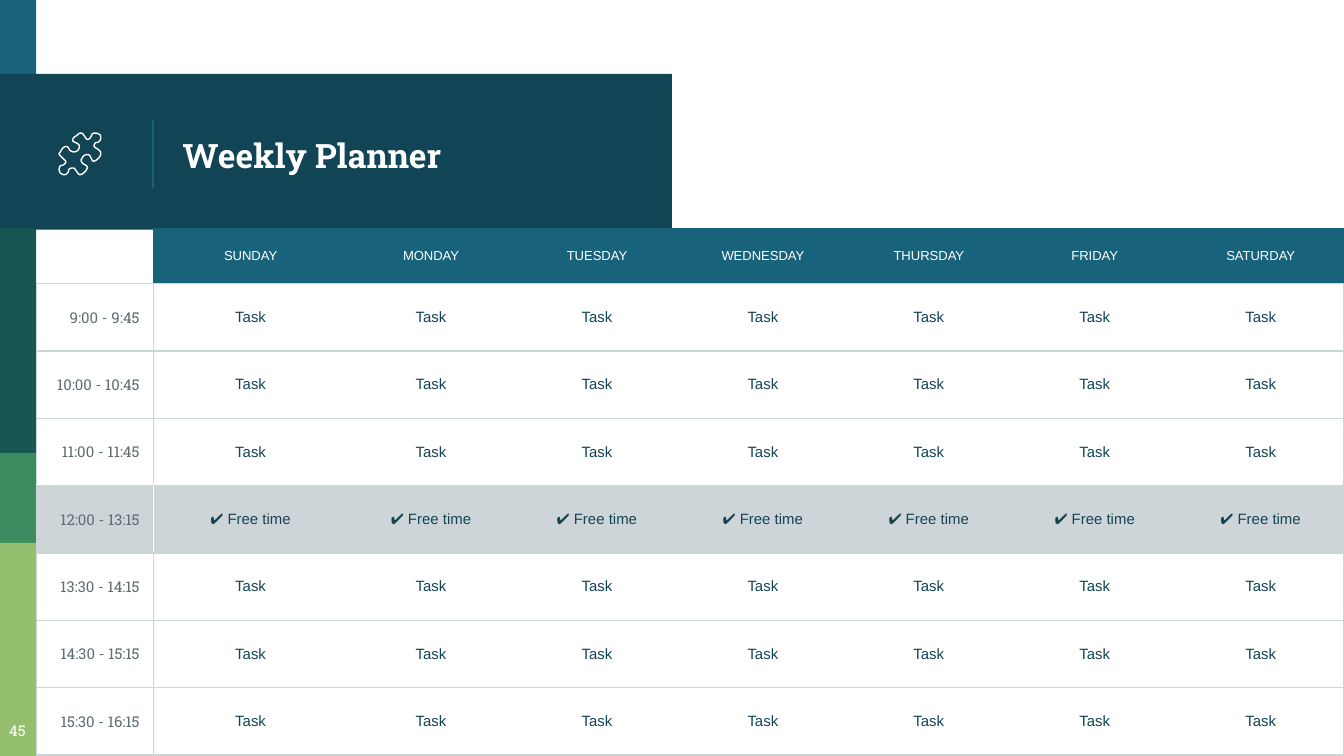
from pptx import Presentation
from pptx.dml.color import RGBColor
from pptx.enum.shapes import MSO_CONNECTOR as Connector, MSO_SHAPE as Shape
from pptx.enum.text import MSO_ANCHOR as Anchor, PP_ALIGN as Align
from pptx.oxml.ns import qn
from pptx.util import Inches, Pt
from lxml.etree import SubElement

WIDTH = 10
HEIGHT = WIDTH * 9 / 16
SERIF, SANS = "Roboto Slab", "Arial"
BLUE, NAVY, GRID, WHITE, GREY = "18637B", "114454", "CED5D8", "FFFFFF", "5F6C70"

BANDS = [
    (0, 0.27, 0.58, BLUE),
    (0.55, 5, 1.16, NAVY),
    (1.7, 0.27, 1.68, "165751"),
    (3.37, 0.27, 0.67, "3B8D61"),
    (4.04, 0.27, 1.59, "94BF6E"),
]
DAYS = ["SUNDAY", "MONDAY", "TUESDAY", "WEDNESDAY", "THURSDAY", "FRIDAY", "SATURDAY"]
HOURS = [
    ("9:00 - 9:45", "Task"),
    ("10:00 - 10:45", "Task"),
    ("11:00 - 11:45", "Task"),
    ("12:00 - 13:15", "✔ Free time"),
    ("13:30 - 14:15", "Task"),
    ("14:30 - 15:15", "Task"),
    ("15:30 - 16:15", "Task"),
]
TABLE_LEFT, TABLE_TOP, TABLE_WIDTH, TABLE_HEIGHT = 0.27, 1.7, 9.73, 3.92
TIME_WIDTH, SUNDAY_WIDTH, HEADER_HEIGHT = 0.87, 1.45, 0.41

PUZZLE = [
    (71, 106), (73, 106), (75, 104), (75, 101), (74, 100), (72, 99), (69, 99), (68, 101),
    (67, 103), (65, 104), (64, 103), (62, 100), (61, 99), (59, 99), (57, 101), (55, 102),
    (54, 104), (54, 105), (56, 106), (58, 107), (59, 108), (59, 110), (58, 112), (56, 113),
    (54, 113), (52, 112), (51, 110), (50, 109), (48, 109), (46, 111), (45, 113), (44, 114),
    (44, 115), (46, 117), (48, 119), (49, 120), (49, 121), (47, 123), (45, 123), (44, 125),
    (44, 127), (45, 129), (47, 130), (49, 130), (51, 128), (51, 126), (53, 125), (55, 125),
    (56, 126), (58, 129), (59, 130), (60, 130), (62, 129), (64, 127), (65, 125), (65, 124),
    (64, 123), (62, 122), (61, 121), (60, 119), (61, 118), (62, 116), (64, 115), (66, 115),
    (67, 116), (68, 118), (69, 120), (70, 120), (72, 119), (74, 117), (75, 115), (75, 113),
    (73, 111), (71, 110), (70, 109), (70, 108),
]


def color(value):
    return RGBColor.from_string(value)


def write(frame, text, size, font, ink, align=Align.LEFT, bold=False):
    para = frame.paragraphs[0]
    para.alignment = align
    span = para.add_run()
    span.text = text
    span.font.size = Pt(size)
    span.font.name = font
    span.font.bold = bold
    span.font.color.rgb = color(ink)


def add_text(page, left, top, width, height, anchor, *style, **options):
    box = page.shapes.add_textbox(Inches(left), Inches(top), Inches(width), Inches(height))
    frame = box.text_frame
    frame.word_wrap = True
    frame.vertical_anchor = anchor
    frame.margin_left = frame.margin_right = Inches(0.1)
    frame.margin_top = frame.margin_bottom = Inches(0.1)
    write(frame, *style, **options)


def set_borders(cell, borders):
    properties = cell._tc.get_or_add_tcPr()
    for side in "LRTB":
        line = SubElement(properties, qn(f"a:ln{side}"), w=str(Pt(0.75)))
        if side in borders:
            fill = SubElement(line, qn("a:solidFill"))
            SubElement(fill, qn("a:srgbClr"), val=borders[side])
        else:
            SubElement(line, qn("a:noFill"))


def fill_cell(cell, text, fill, borders, *style):
    set_borders(cell, borders)
    if fill:
        cell.fill.solid()
        cell.fill.fore_color.rgb = color(fill)
    else:
        cell.fill.background()
    cell.vertical_anchor = Anchor.MIDDLE
    margin = Inches(0.1 if text else 0)
    cell.margin_left = cell.margin_right = margin
    cell.margin_top = cell.margin_bottom = margin
    if text:
        write(cell.text_frame, text, *style)


def add_bands(page):
    for top, width, height, fill in BANDS:
        band = page.shapes.add_shape(Shape.RECTANGLE, 0, Inches(top), Inches(width), Inches(height))
        band.shadow.inherit = False
        band.fill.solid()
        band.fill.fore_color.rgb = color(fill)
        band.line.fill.background()


def add_divider(page):
    x = Inches(1.14)
    divider = page.shapes.add_connector(Connector.STRAIGHT, x, Inches(0.89), x, Inches(1.4))
    divider.line.color.rgb = color(BLUE)
    divider.line.width = Pt(0.75)
    SubElement(divider._element.spPr, qn("a:effectLst"))


def add_planner(page):
    frame = page.shapes.add_table(
        len(HOURS) + 1, len(DAYS) + 1,
        Inches(TABLE_LEFT), Inches(TABLE_TOP), Inches(TABLE_WIDTH), Inches(TABLE_HEIGHT))
    table = frame.table
    table.first_row = table.horz_banding = False

    day_width = (TABLE_WIDTH - TIME_WIDTH - SUNDAY_WIDTH) / (len(DAYS) - 1)
    widths = [TIME_WIDTH, SUNDAY_WIDTH] + [day_width] * (len(DAYS) - 1)
    for column, width in zip(table.columns, widths):
        column.width = Inches(width)
    row_height = (TABLE_HEIGHT - HEADER_HEIGHT) / len(HOURS)
    for row, height in zip(table.rows, [HEADER_HEIGHT] + [row_height] * len(HOURS)):
        row.height = Inches(height)

    fill_cell(table.cell(0, 0), "", None, {"B": GRID})
    for column, day in enumerate(DAYS, 1):
        fill_cell(table.cell(0, column), day, BLUE, {"B": GRID}, 7, SANS, WHITE, Align.CENTER)

    for row, (hours, activity) in enumerate(HOURS, 1):
        free = activity != "Task"
        fill = GRID if free else None
        divider = WHITE if free else GRID
        edges = {"T": GRID, "B": GRID}
        fill_cell(table.cell(row, 0), hours, fill, {**edges, "L": GRID, "R": divider},
                  8, SERIF, GREY, Align.RIGHT)
        for column in range(1, len(DAYS) + 1):
            borders = dict(edges)
            if column == 1:
                borders["L"] = divider
            if column == len(DAYS):
                borders["R"] = GRID
            fill_cell(table.cell(row, column), activity, fill, borders,
                      8, SANS, NAVY, Align.CENTER)


def round_corners(points):
    rounded = []
    for (x1, y1), (x2, y2) in zip(points, points[1:] + points[:1]):
        rounded.append((0.75 * x1 + 0.25 * x2, 0.75 * y1 + 0.25 * y2))
        rounded.append((0.25 * x1 + 0.75 * x2, 0.25 * y1 + 0.75 * y2))
    return rounded


def add_puzzle(page):
    points = [(Inches(x / 100), Inches(y / 100)) for x, y in round_corners(round_corners(PUZZLE))]
    builder = page.shapes.build_freeform(*points[0])
    builder.add_line_segments(points[1:], close=True)
    puzzle = builder.convert_to_shape()
    puzzle.shadow.inherit = False
    puzzle.fill.background()
    puzzle.line.color.rgb = color(WHITE)
    puzzle.line.width = Pt(0.75)


def main():
    deck = Presentation()
    deck.slide_width, deck.slide_height = Inches(WIDTH), Inches(HEIGHT)
    page = deck.slides.add_slide(deck.slide_layouts[6])
    add_bands(page)
    add_divider(page)
    add_text(page, 1.26, 0.59, 3.51, 1.12, Anchor.MIDDLE,
             "Weekly Planner", 18, SERIF, WHITE, bold=True)
    add_text(page, -0.06, 5.3, 0.38, 0.35, Anchor.TOP, "45", 8, SERIF, WHITE, Align.CENTER)
    add_planner(page)
    add_puzzle(page)
    deck.save("out.pptx")


if __name__ == "__main__":
    main()
